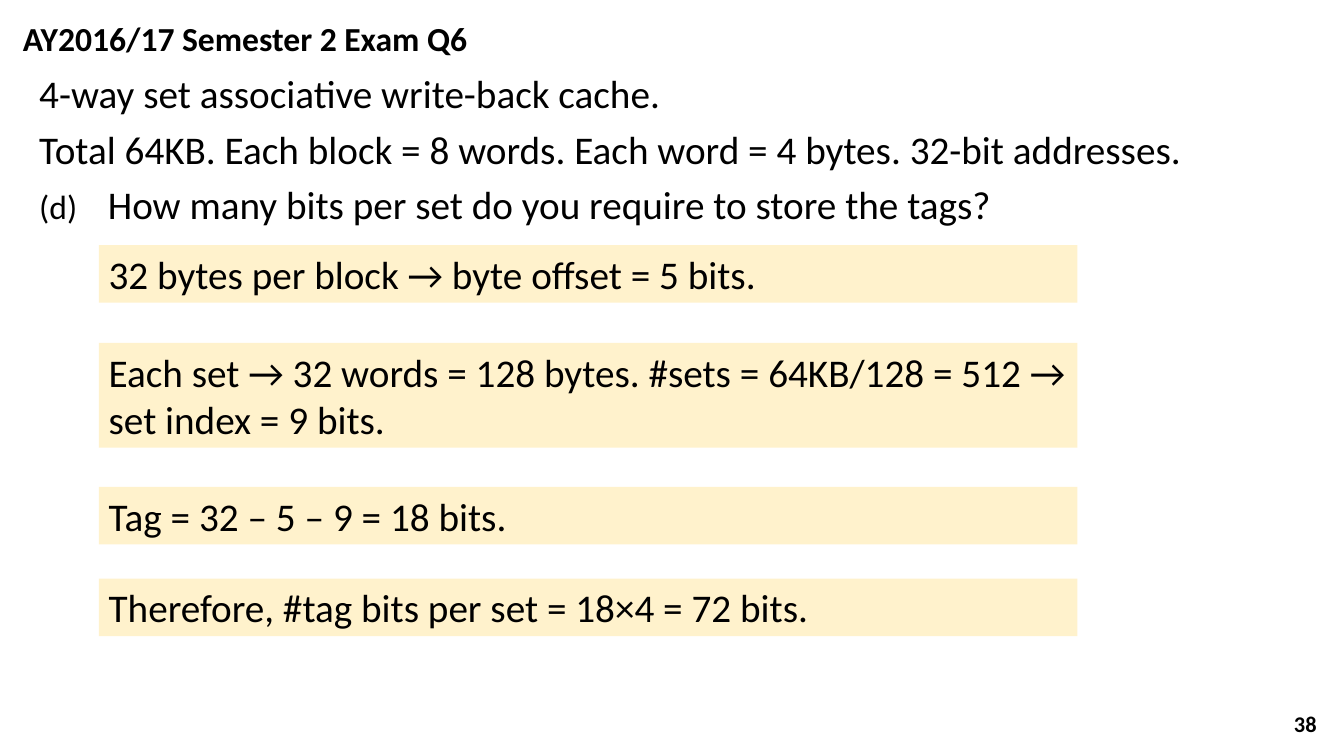
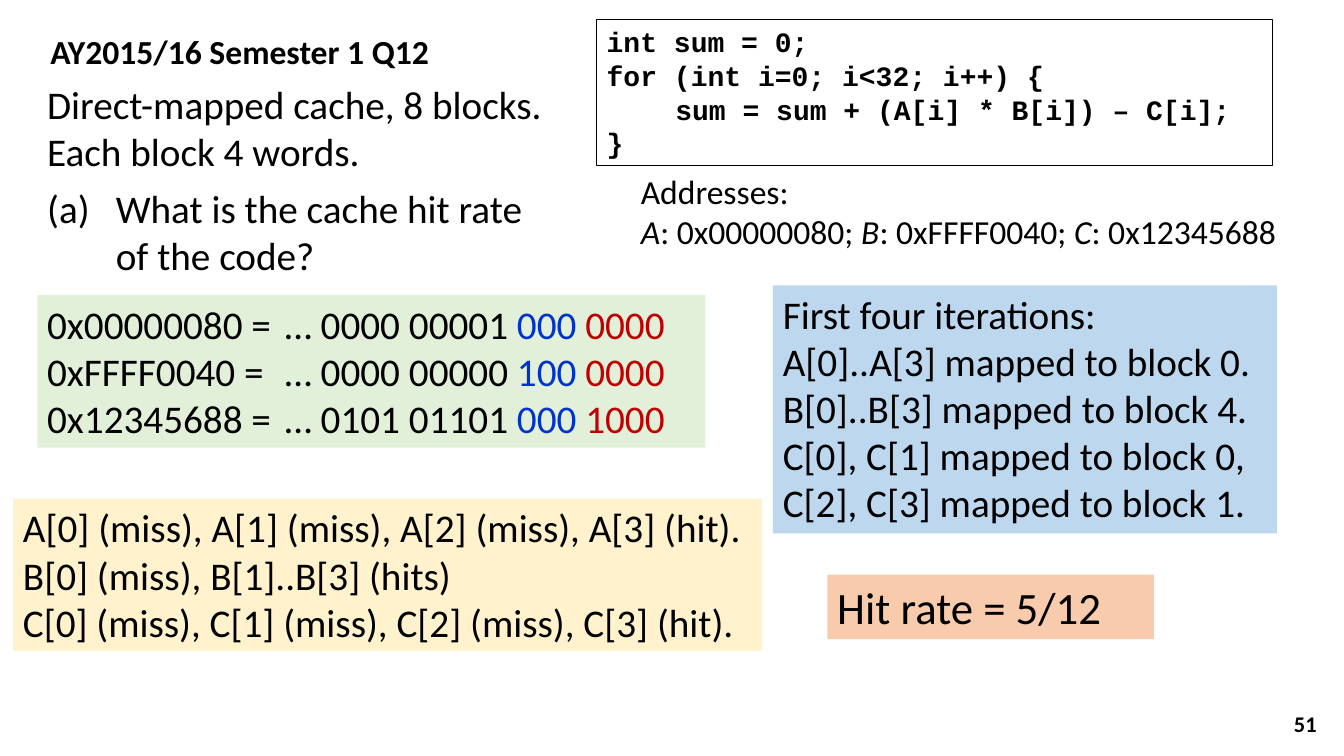
from lxml import etree
from pptx import Presentation
from pptx.dml.color import RGBColor
from pptx.enum.shapes import MSO_SHAPE
from pptx.enum.text import MSO_ANCHOR, PP_ALIGN
from pptx.oxml.ns import qn
from pptx.util import Cm, Pt

RECTANGLE = MSO_SHAPE.RECTANGLE
TOP, MIDDLE = MSO_ANCHOR.TOP, MSO_ANCHOR.MIDDLE
LEFT, RIGHT = PP_ALIGN.LEFT, PP_ALIGN.RIGHT

BODY_FONT, CODE_FONT = "Calibri", "Courier New"
BLACK, BLUE, RED = "000000", "0033CC", "C00000"
CREAM, GREEN, SKY, PEACH = "FFF2CC", "E2F0D9", "BDD7EE", "F8CBAD"
HANGING = 1.73
ADDRESS_TAB = 5.99


def colour(value):
    return RGBColor.from_string(value)


def add_span(para, text, size=28, font=BODY_FONT, color=BLACK, bold=False, italic=False):
    span = para.add_run()
    span.text = text
    span.font.name = font
    span.font.size = Pt(size)
    span.font.bold = bold
    span.font.italic = italic
    span.font.color.rgb = colour(color)


def set_tab(para, position, hanging):
    properties = para._p.get_or_add_pPr()
    if hanging:
        properties.set("marL", str(Cm(position)))
        properties.set("indent", str(-Cm(position)))
    tabs = etree.SubElement(properties, qn("a:tabLst"))
    etree.SubElement(tabs, qn("a:tab"), pos=str(Cm(position)), algn="l")


def fill_text(box, lines, tab=None, hanging=False, after=0, align=LEFT, anchor=TOP, **style):
    frame = box.text_frame
    frame.word_wrap = True
    frame.vertical_anchor = anchor
    for index, line in enumerate(lines):
        para = frame.add_paragraph() if index else frame.paragraphs[0]
        if tab:
            set_tab(para, tab, hanging)
        para.alignment = align
        para.space_after = Pt(after)
        spans = [(line, {})] if isinstance(line, str) else line
        for text, changes in spans:
            add_span(para, text, **{**style, **changes})


def add_text(page, area, lines, **options):
    box = page.shapes.add_textbox(*map(Cm, area))
    fill_text(box, lines, **options)


def add_panel(page, area, lines, fill=None, outline=None, **options):
    box = page.shapes.add_shape(RECTANGLE, *map(Cm, area))
    box.shadow.inherit = False
    if fill:
        box.fill.solid()
        box.fill.fore_color.rgb = colour(fill)
    else:
        box.fill.background()
    if outline:
        box.line.color.rgb = colour(outline)
        box.line.width = Pt(0.75)
    else:
        box.line.fill.background()
    fill_text(box, lines, **options)


def add_page(deck, title, title_area, number):
    page = deck.slides.add_slide(deck.slide_layouts[6])
    add_text(page, (25.81, 17.73, 7.62, 1.02), [number],
             size=16, bold=True, align=RIGHT, anchor=MIDDLE)
    add_text(page, title_area, [title], size=24, bold=True)
    return page


def address_line(address, tag, index, offset):
    return [(f"{address} =\t… {tag} ", {}),
            (f"{index} ", {"color": BLUE}),
            (offset, {"color": RED})]


def build_tag_bits(deck):
    page = add_page(deck, "AY2016/17 Semester 2 Exam Q6", (0.33, 0.33, 14.25, 1.27), "38")
    add_text(page, (0.74, 1.63, 30.66, 4.27), [
        "4-way set associative write-back cache.",
        "Total 64KB. Each block = 8 words. Each word = 4 bytes. 32-bit addresses.",
        [("(d)\t", {"size": 24}),
         ("How many bits per set do you require to store the tags?", {})],
    ], tab=HANGING, hanging=True, after=6)
    steps = [
        (6.18, 1.45, "32 bytes per block → byte offset = 5 bits."),
        (8.64, 2.64, "Each set → 32 words = 128 bytes. #sets = 64KB/128 = 512 → "
                     "set index = 9 bits."),
        (12.27, 1.45, "Tag = 32 – 5 – 9 = 18 bits."),
        (14.58, 1.45, "Therefore, #tag bits per set = 18×4 = 72 bits."),
    ]
    for top, height, text in steps:
        add_panel(page, (2.49, top, 24.66, height), [text], fill=CREAM)


def build_hit_rate(deck):
    page = add_page(deck, "AY2015/16 Semester 1 Q12", (1.02, 0.66, 10.85, 1.27), "51")
    add_panel(page, (15.04, 0.5, 17.04, 3.68), [
        "int sum = 0;",
        "for (int i=0; i<32; i++) {",
        "\tsum = sum + (A[i] * B[i]) – C[i];",
        "}",
    ], outline=BLACK, tab=HANGING, hanging=True, size=20, font=CODE_FONT, bold=True)
    slanted = {"italic": True}
    add_text(page, (15.9, 4.17, 17.4, 2.31), [
        "Addresses:",
        [("A", slanted), (": 0x00000080; ", {}),
         ("B", slanted), (": 0xFFFF0040; ", {}),
         ("C", slanted), (": 0x12345688", {})],
    ], size=24)
    add_text(page, (0.94, 1.9, 14, 2.64),
             ["Direct-mapped cache, 8 blocks. Each block 4 words."])
    add_text(page, (0.94, 4.52, 12.75, 2.64),
             ["(a)\tWhat is the cache hit rate of the code?"], tab=HANGING, hanging=True)
    add_panel(page, (0.94, 7.44, 16.84, 3.84), [
        address_line("0x00000080", "0000 00001", "000", "0000"),
        address_line("0xFFFF0040", "0000 00000", "100", "0000"),
        address_line("0x12345688", "0101 01101", "000", "1000"),
    ], fill=GREEN, tab=ADDRESS_TAB)
    add_panel(page, (19.48, 7.19, 12.7, 6.25), [
        "First four iterations:",
        "A[0]..A[3] mapped to block 0.",
        "B[0]..B[3] mapped to block 4.",
        "C[0], C[1] mapped to block 0,",
        "C[2], C[3] mapped to block 1.",
    ], fill=SKY)
    add_panel(page, (0.33, 12.57, 18.87, 3.84), [
        "A[0] (miss), A[1] (miss), A[2] (miss), A[3] (hit).",
        "B[0] (miss), B[1]..B[3] (hits)",
        "C[0] (miss), C[1] (miss), C[2] (miss), C[3] (hit).",
    ], fill=CREAM)
    add_panel(page, (20.85, 14.48, 8.23, 1.63), ["Hit rate = 5/12"], fill=PEACH, size=32)


def main():
    deck = Presentation()
    deck.slide_width, deck.slide_height = Cm(33.87), Cm(19.05)
    build_tag_bits(deck)
    build_hit_rate(deck)
    deck.save("out.pptx")


if __name__ == "__main__":
    main()
